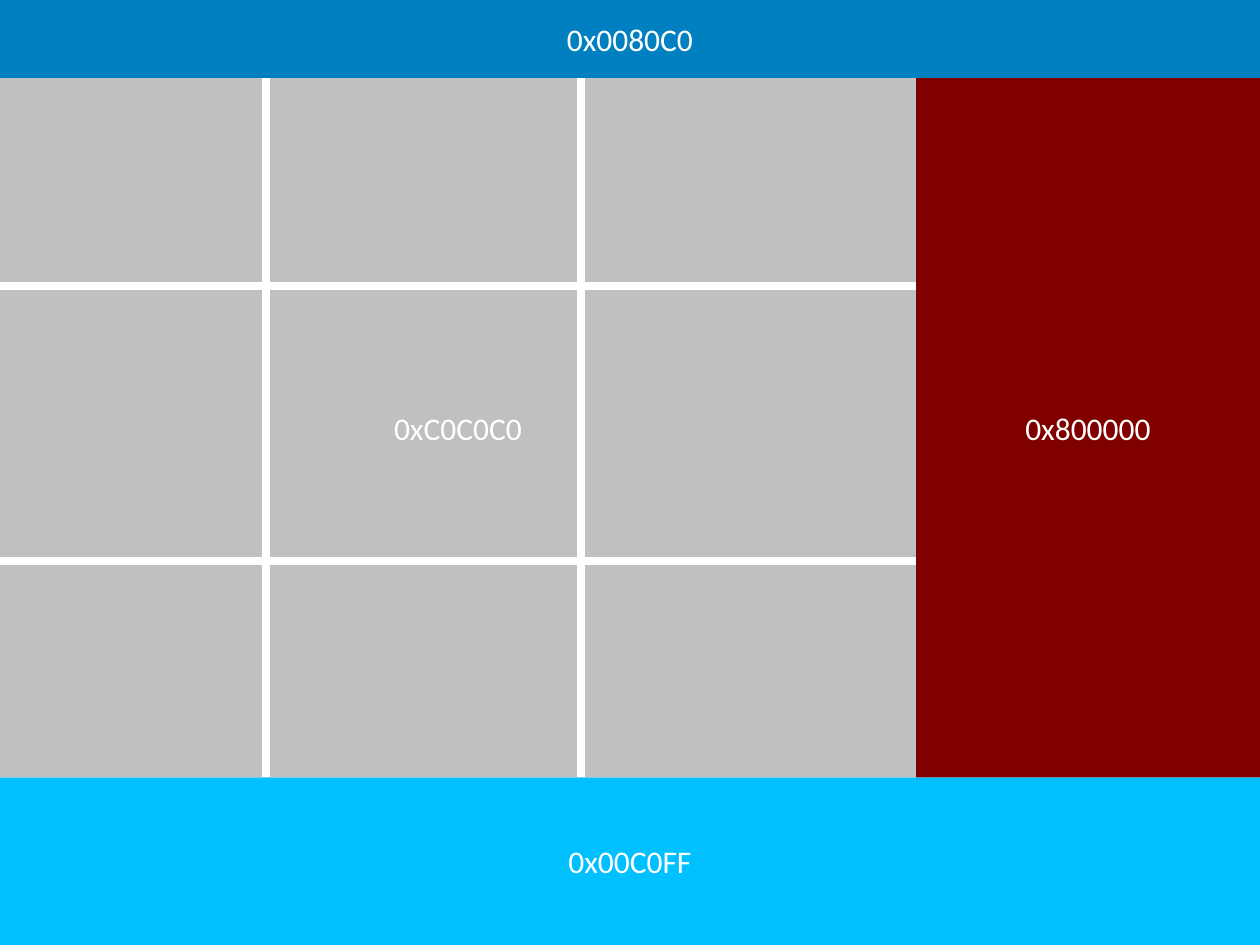
from dataclasses import dataclass

from pptx import Presentation
from pptx.dml.color import RGBColor
from pptx.enum.shapes import MSO_CONNECTOR, MSO_SHAPE
from pptx.enum.text import MSO_ANCHOR, PP_ALIGN
from pptx.oxml.ns import qn
from pptx.util import Pt

RECTANGLE = MSO_SHAPE.RECTANGLE
STRAIGHT = MSO_CONNECTOR.STRAIGHT
MIDDLE = MSO_ANCHOR.MIDDLE
CENTER = PP_ALIGN.CENTER


@dataclass(frozen=True)
class Theme:
    header: str = "0080C0"
    footer: str = "00C0FF"
    sidebar: str = "800000"
    content: str = "C0C0C0"
    white: str = "FFFFFF"
    font: str = "Calibri"
    label_size: float = 18
    divider_width: float = 4.5


theme = Theme()

# Layout edges in points
WIDTH, HEIGHT = 720, 540
HEADER_BOTTOM = 44.64
FOOTER_TOP = 444.24
SIDEBAR_LEFT = 523.44
ROW_DIVIDERS = (163.44, 320.4)
COLUMN_DIVIDERS = (151.92, 331.92)

presentation = Presentation()
presentation.slide_width = Pt(WIDTH)
presentation.slide_height = Pt(HEIGHT)
slide = presentation.slides.add_slide(presentation.slide_layouts[6])

# Colour regions, each labelled with its own colour: left, top, right, bottom
regions = [
    (theme.header, 0, 0, WIDTH, HEADER_BOTTOM),
    (theme.footer, 0, FOOTER_TOP, WIDTH, HEIGHT),
    (theme.sidebar, SIDEBAR_LEFT, HEADER_BOTTOM, WIDTH, FOOTER_TOP),
    (theme.content, 0, HEADER_BOTTOM, SIDEBAR_LEFT, FOOTER_TOP),
]
for color, left, top, right, bottom in regions:
    shape = slide.shapes.add_shape(
        RECTANGLE, Pt(left), Pt(top), Pt(right - left), Pt(bottom - top))
    shape.shadow.inherit = False
    shape.fill.solid()
    shape.fill.fore_color.rgb = RGBColor.from_string(color)
    shape.line.fill.background()
    shape.text_frame.vertical_anchor = MIDDLE
    paragraph = shape.text_frame.paragraphs[0]
    paragraph.text = f"0x{color}"
    paragraph.alignment = CENTER
    paragraph.font.name = theme.font
    paragraph.font.size = Pt(theme.label_size)
    paragraph.font.color.rgb = RGBColor.from_string(theme.white)

# White dividers across the content region
dividers = [(0, y, SIDEBAR_LEFT, y) for y in ROW_DIVIDERS]
dividers += [(x, HEADER_BOTTOM, x, FOOTER_TOP) for x in COLUMN_DIVIDERS]
for ends in dividers:
    connector = slide.shapes.add_connector(STRAIGHT, *map(Pt, ends))
    connector.line.color.rgb = RGBColor.from_string(theme.white)
    connector.line.width = Pt(theme.divider_width)
    properties = connector._element.spPr
    properties.append(properties.makeelement(qn("a:effectLst"), {}))

presentation.save("out.pptx")
